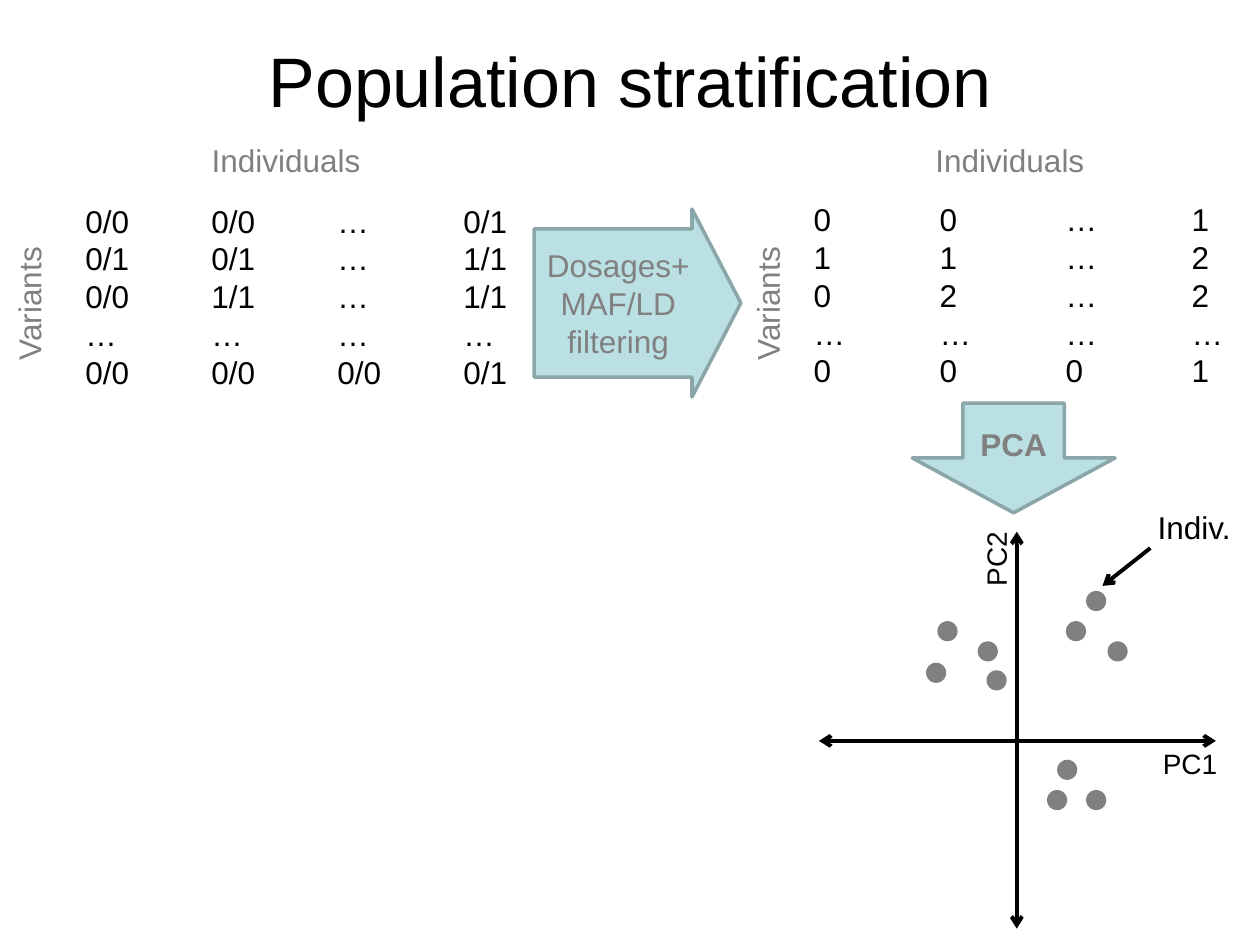
"""Build a slide on population stratification: genotypes to dosages to PCA."""
from lxml import etree
from pptx import Presentation
from pptx.dml.color import RGBColor
from pptx.enum import shapes, text
from pptx.oxml.ns import qn
from pptx.util import Inches, Pt

THEME = {
    "font": "Arial", "ink": "000000", "muted": "808080",
    "fill": "BBE0E3", "edge": "8AA6A8",
    "title": 40, "body": 18, "axis": 16, "stroke": 2.25, "outline": 2,
}
TITLE = "Population stratification"
MATRICES = [
    (0.58, 1.55, ["0/0 0/0 … 0/1", "0/1 0/1 … 1/1", "0/0 1/1 … 1/1",
                  "… … … …", "0/0 0/0 0/0 0/1"]),
    (6.36, 1.54, ["0 0 … 1", "1 1 … 2", "0 2 … 2", "… … … …", "0 0 0 1"]),
]
COLUMN_STOPS = (1, 2, 3)
LABELS = [
    ("Individuals", (0.5, 1.07, 3.54, 0.4), 0),
    ("Variants", (-0.52, 2.21, 1.5, 0.4), 270),
    ("Individuals", (6.36, 1.07, 3.31, 0.4), 0),
    ("Variants", (5.34, 2.21, 1.5, 0.4), 270),
]
PLOT_LABELS = [
    ("PC1", (9.13, 5.88, 0.79, 0.37), 0, "axis"),
    ("PC2", (7.51, 4.17, 0.79, 0.37), 270, "axis"),
    ("Indiv.", (9.09, 3.98, 0.94, 0.4), 0, "body"),
]
LINES = [
    ((8.07, 7.37), (8.07, 4.22), ("headEnd", "tailEnd")),
    ((6.5, 5.88), (9.65, 5.88), ("headEnd", "tailEnd")),
    ((9.13, 4.35), (8.75, 4.65), ("tailEnd",)),
]
DOT_SIZE = 0.16
DOTS = [(8.62, 4.69), (8.46, 4.93), (8.79, 5.09),
        (8.62, 6.27), (8.39, 6.03), (8.31, 6.27),
        (7.35, 5.26), (7.83, 5.32), (7.76, 5.09), (7.44, 4.93)]


def color(name):
    return RGBColor.from_string(THEME[name])


def place(shape, area):
    shape.left, shape.top, shape.width, shape.height = map(Inches, area)


def write(shape, words, size="body", ink="ink", centred=False, bold=None):
    frame = shape.text_frame
    frame.text = words
    frame.word_wrap = True
    for para in frame.paragraphs:
        para.alignment = text.PP_ALIGN.CENTER if centred else text.PP_ALIGN.LEFT
        for span in para.runs:
            span.font.name = THEME["font"]
            span.font.size = Pt(THEME[size])
            span.font.color.rgb = color(ink)
            span.font.bold = bold
    return frame


def add_text(page, words, area, turn=0, **style):
    box = page.shapes.add_textbox(*map(Inches, area))
    box.rotation = turn
    return write(box, words, **style)


def set_tabs(frame, stops):
    for para in frame.paragraphs:
        tabs = etree.SubElement(para._p.get_or_add_pPr(), qn("a:tabLst"))
        for stop in stops:
            etree.SubElement(tabs, qn("a:tab"), pos=str(Inches(stop)), algn="l")


def add_filled(page, kind, area, fill, edge=None):
    shape = page.shapes.add_shape(kind, *map(Inches, area))
    shape.shadow.inherit = False
    shape.fill.solid()
    shape.fill.fore_color.rgb = color(fill)
    if edge:
        shape.line.color.rgb = color(edge)
        shape.line.width = Pt(THEME["outline"])
    else:
        shape.line.fill.background()
    return shape


def add_arrow(page, kind, area, words, bold=None):
    arrow = add_filled(page, kind, area, "fill", "edge")
    frame = write(arrow, words, ink="muted", centred=True, bold=bold)
    frame.vertical_anchor = text.MSO_ANCHOR.MIDDLE
    return arrow


def add_line(page, start, end, heads):
    line = page.shapes.add_connector(
        shapes.MSO_CONNECTOR.STRAIGHT, *map(Inches, start + end))
    line.line.color.rgb = color("ink")
    line.line.width = Pt(THEME["stroke"])
    properties = line.line._get_or_add_ln()
    for head in heads:
        etree.SubElement(properties, qn("a:" + head), type="arrow")
    etree.SubElement(line._element.spPr, qn("a:effectLst"))


def main():
    deck = Presentation()
    deck.slide_width, deck.slide_height = Inches(10), Inches(7.5)
    page = deck.slides.add_slide(deck.slide_layouts[5])
    title = page.shapes.title
    place(title, (0.5, 0.01, 9, 1.25))
    frame = write(title, TITLE, size="title", centred=True)
    frame.vertical_anchor = text.MSO_ANCHOR.MIDDLE

    for left, top, rows in MATRICES:
        words = "\n".join("\t".join(row.split()) for row in rows)
        set_tabs(add_text(page, words, (left, top, 3.62, 1.62)), COLUMN_STOPS)
    for words, area, turn in LABELS:
        add_text(page, words, area, turn, ink="muted", centred=True)
    for line in LINES:
        add_line(page, *line)
    for words, area, turn, size in PLOT_LABELS:
        add_text(page, words, area, turn, size=size)
    for left, top in DOTS:
        add_filled(page, shapes.MSO_SHAPE.OVAL,
                   (left, top, DOT_SIZE, DOT_SIZE), "muted")

    add_arrow(page, shapes.MSO_SHAPE.DOWN_ARROW,
              (7.24, 3.2, 1.61, 0.87), "PCA", bold=True)
    dosages = add_arrow(page, shapes.MSO_SHAPE.RIGHT_ARROW,
                        (4.24, 1.66, 1.64, 1.49), "Dosages+\nMAF/LD filtering")
    dosages.adjustments[0], dosages.adjustments[1] = 0.79, 0.26

    deck.save("out.pptx")


if __name__ == "__main__":
    main()
